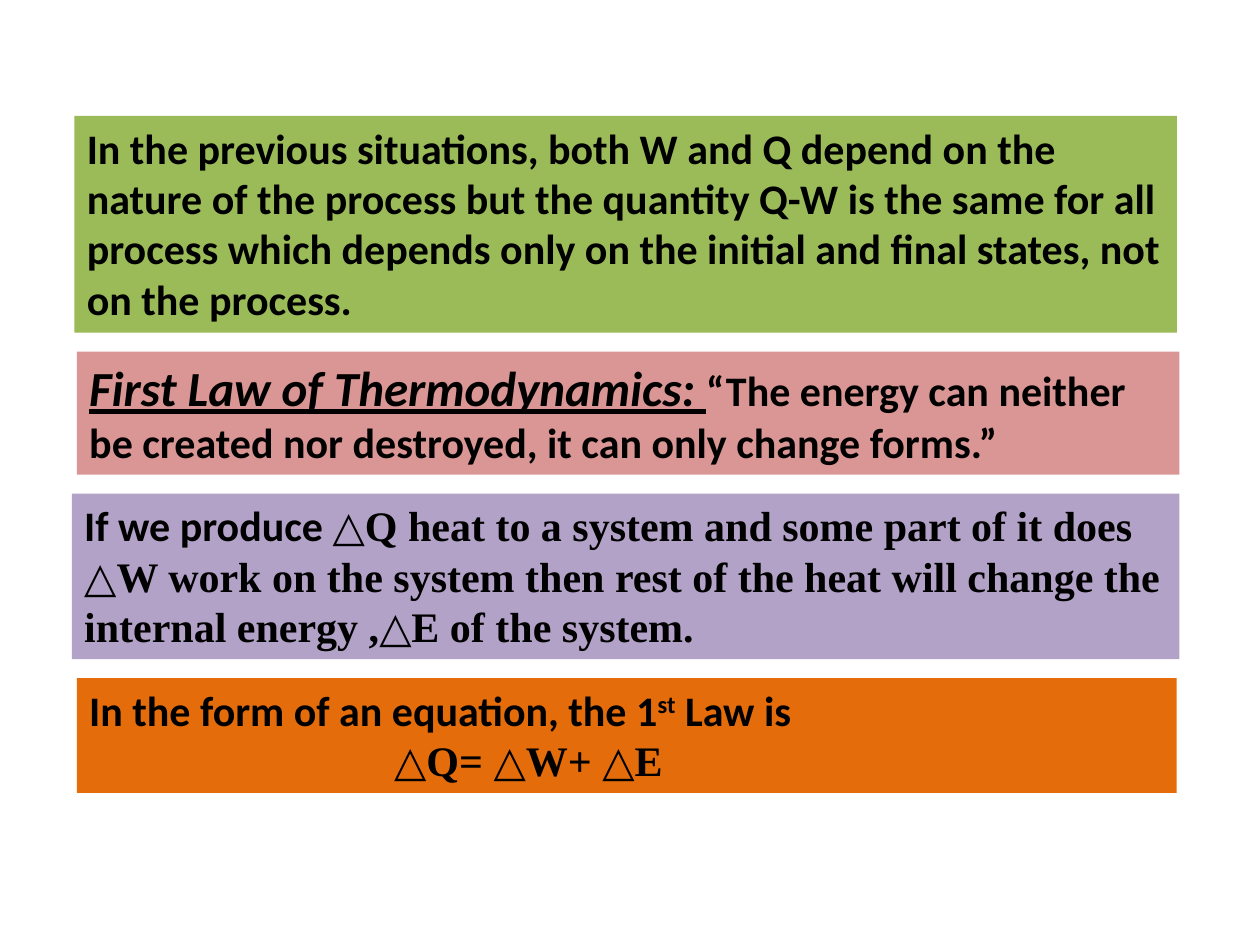
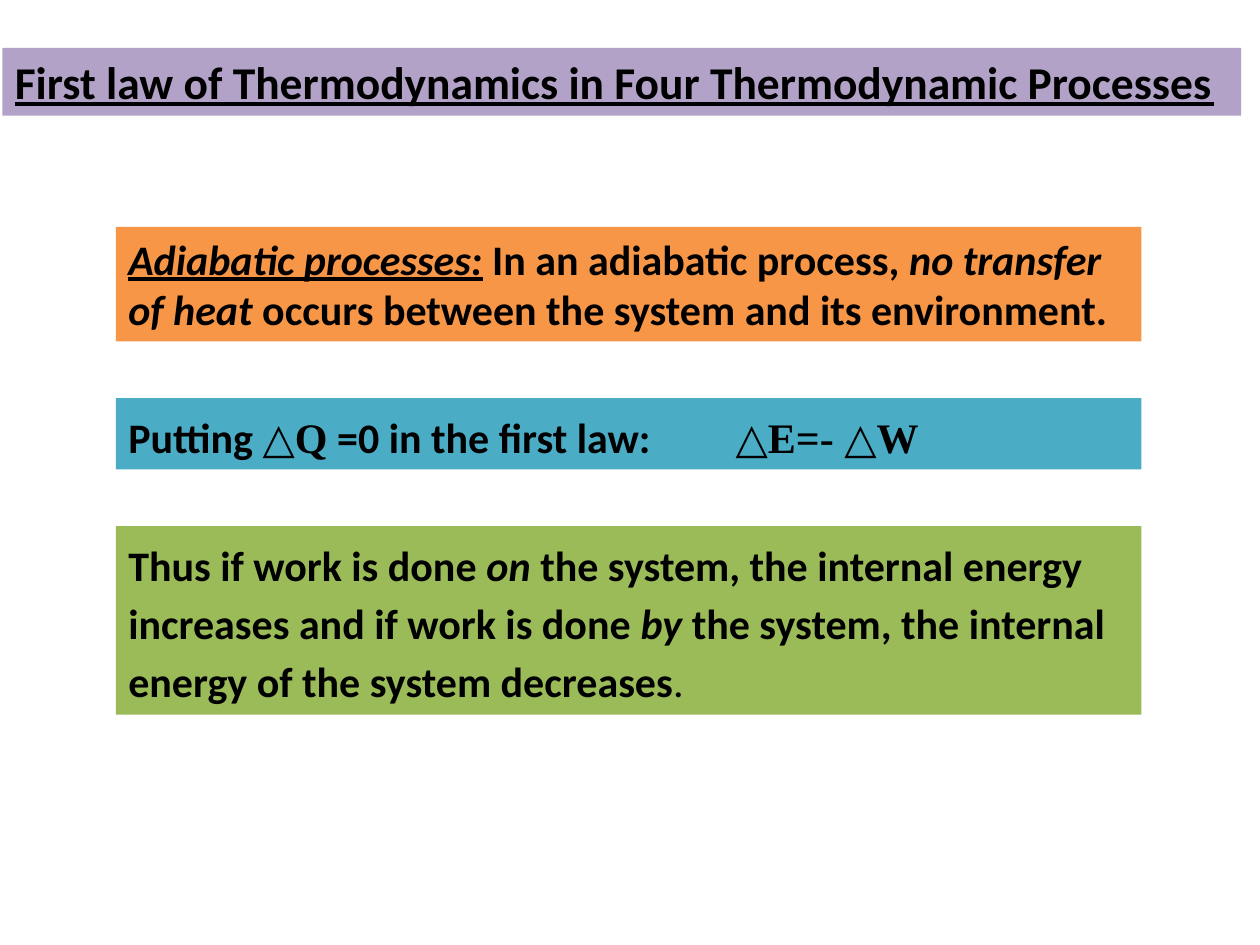
from dataclasses import dataclass

from pptx import Presentation
from pptx.dml.color import RGBColor
from pptx.enum.shapes import MSO_SHAPE
from pptx.enum.text import MSO_ANCHOR, MSO_AUTO_SIZE, PP_ALIGN
from pptx.oxml.ns import qn
from pptx.util import Inches, Pt
from lxml import etree

RECTANGLE = MSO_SHAPE.RECTANGLE
TOP = MSO_ANCHOR.TOP
LEFT = PP_ALIGN.LEFT
GROW = MSO_AUTO_SIZE.SHAPE_TO_FIT_TEXT


@dataclass(frozen=True)
class Theme:
    ink: str = "000000"
    green: str = "9BBB59"
    rose: str = "D99694"
    violet: str = "B3A2C7"
    rust: str = "E46C0A"
    orange: str = "F79646"
    teal: str = "4BACC6"
    words: str = "Calibri"
    symbols: str = "Times New Roman"
    body: int = 24
    title: int = 26
    law: int = 28
    line_height: float = 1.215
    inset_x: float = 0.1
    inset_y: float = 0.05


THEME = Theme()
WIDTH, HEIGHT = 10, 7.5
BODY = THEME.body

# "b" bold, "i" italic, "u" underline, "s" symbol font, "^" superscript
LAW_PANELS = [
    dict(fill=THEME.green, left=0.59, width=8.75, lines=[BODY] * 4, paragraphs=[
        [("In the previous situations, both W and Q depend on the nature of the process "
          "but the quantity Q-W is the same for all process which depends only on the "
          "initial and final states, not on the process.", "b")]]),
    dict(fill=THEME.rose, left=0.61, width=8.75, lines=[THEME.law, BODY], paragraphs=[
        [("First Law of Thermodynamics: ", "biu", THEME.law),
         ("“The energy can neither be created nor destroyed, it can only change forms.”", "b")]]),
    dict(fill=THEME.violet, left=0.57, width=8.79, lines=[BODY] * 3, paragraphs=[
        [("If we produce ", "b"),
         ("△Q heat to a system and some part of it does △W work on the system then rest "
          "of the heat will change the internal energy ,△E of the system.", "bs")]]),
    dict(fill=THEME.rust, left=0.61, width=8.73, lines=[BODY] * 2, indents=[0, 2.42], paragraphs=[
        [("In the form of an equation, the 1", "b"), ("st", "b^"), (" Law is", "b")],
        [("△Q= △W+ △E", "bs")]]),
]

PROCESS_TITLE = [
    dict(fill=THEME.violet, left=0.02, width=9.83, lines=[THEME.title], paragraphs=[
        [("First law of Thermodynamics in Four Thermodynamic Processes", "bu", THEME.title)]]),
]

ADIABATIC = dict(left=0.92, width=8.14)
ADIABATIC_PANELS = [
    dict(ADIABATIC, fill=THEME.orange, lines=[BODY] * 2, paragraphs=[
        [("Adiabatic processes:", "biu"), (" In an adiabatic process, ", "b"),
         ("no transfer of heat ", "bi"),
         ("occurs between the system and its environment.", "b")]]),
    dict(ADIABATIC, fill=THEME.teal, lines=[BODY], spacing=1.15, tab=4.82, paragraphs=[
        [("Putting ", "b"), ("△Q", "bs"), (" =0 in the first law:\t", "b"),
         ("△E=- △W", "bs")]]),
    dict(ADIABATIC, fill=THEME.green, lines=[BODY] * 3, spacing=1.15, paragraphs=[
        [("Thus if work is done ", "b"), ("on ", "bi"),
         ("the system, the internal energy increases and if work is done ", "b"),
         ("by ", "bi"),
         ("the system, the internal energy of the system decreases", "b"), (".", "")]]),
]

SLIDES = [
    [dict(top=0.92, gap=0.15, panels=LAW_PANELS)],
    [dict(top=0.38, gap=0, panels=PROCESS_TITLE),
     dict(top=1.8, gap=0.45, panels=ADIABATIC_PANELS)],
]


def panel_height(panel):
    text = sum(panel["lines"]) * THEME.line_height * panel.get("spacing", 1) / 72
    return 2 * THEME.inset_y + text


def add_run(paragraph, text, style, size=BODY):
    run = paragraph.add_run()
    run.text = text
    font = run.font
    font.name = THEME.symbols if "s" in style else THEME.words
    font.size = Pt(size)
    font.color.rgb = RGBColor.from_string(THEME.ink)
    font.bold = "b" in style
    font.italic = "i" in style
    font.underline = "u" in style
    if "^" in style:
        run._r.get_or_add_rPr().set("baseline", "30000")


def format_paragraph(paragraph, spacing, indent, tab):
    paragraph.alignment = LEFT
    if spacing:
        paragraph.line_spacing = spacing
    properties = paragraph._p.get_or_add_pPr()
    if indent:
        properties.set("marL", str(Inches(indent)))
        properties.set("indent", "0")
    if tab:
        stops = etree.SubElement(properties, qn("a:tabLst"))
        etree.SubElement(stops, qn("a:tab"), pos=str(Inches(tab)), algn="l")


def add_panel(slide, panel, top, height):
    box = slide.shapes.add_shape(RECTANGLE, Inches(panel["left"]), Inches(top),
                                 Inches(panel["width"]), Inches(height))
    box.shadow.inherit = False
    box.fill.solid()
    box.fill.fore_color.rgb = RGBColor.from_string(panel["fill"])
    box.line.fill.background()
    frame = box.text_frame
    frame.word_wrap = True
    frame.auto_size = GROW
    frame.vertical_anchor = TOP
    frame.margin_left = frame.margin_right = Inches(THEME.inset_x)
    frame.margin_top = frame.margin_bottom = Inches(THEME.inset_y)
    indents = panel.get("indents", [0] * len(panel["paragraphs"]))
    for index, (runs, indent) in enumerate(zip(panel["paragraphs"], indents)):
        paragraph = frame.add_paragraph() if index else frame.paragraphs[0]
        format_paragraph(paragraph, panel.get("spacing"), indent, panel.get("tab"))
        for run in runs:
            add_run(paragraph, *run)


def add_stack(slide, top, gap, panels):
    for panel in panels:
        height = panel_height(panel)
        add_panel(slide, panel, top, height)
        top += height + gap


def main():
    deck = Presentation()
    deck.slide_width, deck.slide_height = Inches(WIDTH), Inches(HEIGHT)
    blank = deck.slide_layouts[6]
    for stacks in SLIDES:
        slide = deck.slides.add_slide(blank)
        for stack in stacks:
            add_stack(slide, **stack)
    deck.save("out.pptx")


if __name__ == "__main__":
    main()
